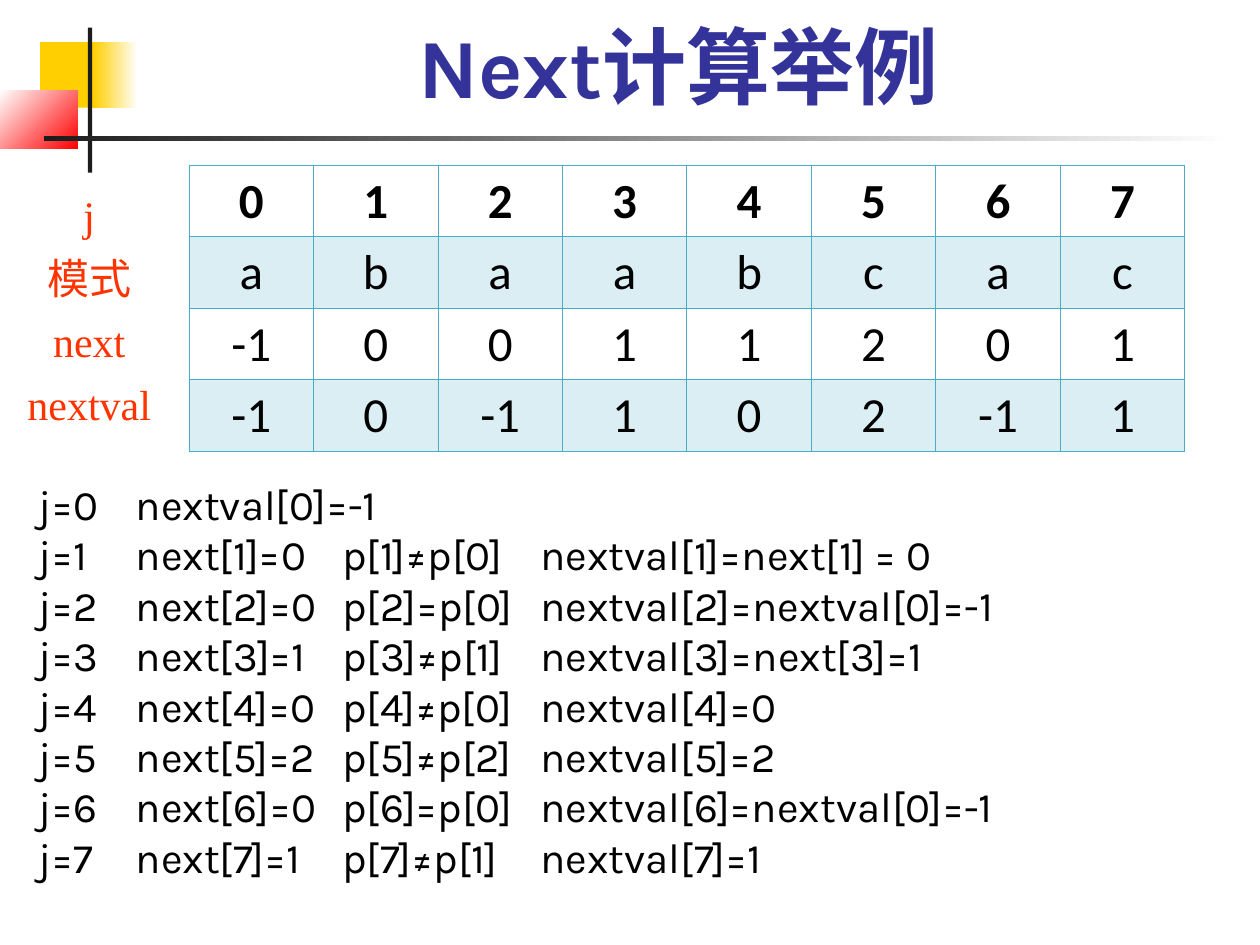
from lxml import etree
from pptx import Presentation
from pptx.dml.color import RGBColor
from pptx.enum.shapes import MSO_SHAPE
from pptx.enum.text import MSO_ANCHOR, MSO_AUTO_SIZE, PP_ALIGN
from pptx.oxml.ns import qn
from pptx.util import Cm, Pt

RECTANGLE = MSO_SHAPE.RECTANGLE
MIDDLE, BOTTOM = MSO_ANCHOR.MIDDLE, MSO_ANCHOR.BOTTOM
LEFT, CENTER = PP_ALIGN.LEFT, PP_ALIGN.CENTER
NO_AUTOFIT = MSO_AUTO_SIZE.NONE

YELLOW, RED, WHITE, INK, TEAL = "FFCF01", "FF0000", "FFFFFF", "1C1C1C", "4BACC6"
DECORATION = [
    (0.81, 0.85, 1.22, 1.32, [YELLOW], 0),
    (1.88, 0.85, 0.9, 1.32, [YELLOW, WHITE], 0),
    (0, 1.83, 1.57, 1.17, [WHITE, RED], 315),
    (1.77, 0.56, 0.09, 2.92, [INK], 0),
    (0.89, 2.75, 24, 0.09, [INK, WHITE], 0),
]
ROW_LABELS = ["j", "模式", "next", "nextval"]
PATTERN_ROWS = [
    ["0", "1", "2", "3", "4", "5", "6", "7"],
    ["a", "b", "a", "a", "b", "c", "a", "c"],
    ["-1", "0", "0", "1", "1", "2", "0", "1"],
    ["-1", "0", "-1", "1", "0", "2", "-1", "1"],
]
COLUMN_WIDTH, ROW_HEIGHT = 2.51, 1.44
STEPS = [
    "j=0\tnextval[0]=-1",
    "j=1\tnext[1]=0\tp[1]≠p[0]\tnextval[1]=next[1] = 0",
    "j=2\tnext[2]=0\tp[2]=p[0]\tnextval[2]=nextval[0]=-1",
    "j=3\tnext[3]=1\tp[3]≠p[1]\tnextval[3]=next[3]=1",
    "j=4\tnext[4]=0\tp[4]≠p[0]\tnextval[4]=0",
    "j=5\tnext[5]=2\tp[5]≠p[2]\tnextval[5]=2",
    "j=6\tnext[6]=0\tp[6]=p[0]\tnextval[6]=nextval[0]=-1",
    "j=7\tnext[7]=1\tp[7]≠p[1]\tnextval[7]=1",
]
STEP_INSET = 0.48
STEP_STOPS = [1.96, 6.12, 10.12]


def rgb(hex_color):
    """Return the colour for a hex string."""
    return RGBColor.from_string(hex_color)


def write_text(frame, lines, font, size, color, bold=False, align=LEFT, before=0, spacing=1.0):
    """Fill a text frame with one formatted paragraph per line."""
    for index, line in enumerate(lines):
        paragraph = frame.add_paragraph() if index else frame.paragraphs[0]
        paragraph.alignment = align
        paragraph.space_before = Pt(before)
        paragraph.line_spacing = spacing
        run = paragraph.add_run()
        run.text = line
        run.font.name, run.font.size, run.font.bold = font, Pt(size), bold
        run.font.color.rgb = rgb(color)


def add_bar(slide, left, top, width, height, colors, angle):
    """Add a borderless rectangle with a plain or two-colour fill."""
    bar = slide.shapes.add_shape(RECTANGLE, Cm(left), Cm(top), Cm(width), Cm(height))
    bar.shadow.inherit = False
    bar.line.fill.background()
    if len(colors) == 1:
        bar.fill.solid()
        bar.fill.fore_color.rgb = rgb(colors[0])
        return
    bar.fill.gradient()
    bar.fill.gradient_angle = angle
    for stop, position, color in zip(bar.fill.gradient_stops, (0, 1), colors):
        stop.position = position
        stop.color.rgb = rgb(color)


def set_title(slide, title):
    """Write the heading into the title placeholder."""
    heading = slide.shapes.title
    heading.left, heading.top = Cm(2.74), Cm(0.55)
    heading.width, heading.height = Cm(21.87), Cm(1.9)
    frame = heading.text_frame
    frame.auto_size = NO_AUTOFIT
    frame.vertical_anchor = BOTTOM
    write_text(frame, [title], font="Karla", size=48, color="333399", bold=True, align=CENTER)


def add_row_labels(slide):
    """Add the labels to the left of the table."""
    labels = slide.shapes.add_textbox(Cm(0.3), Cm(3.44), Cm(3), Cm(5.33))
    labels.text_frame.word_wrap = False
    write_text(labels.text_frame, ROW_LABELS, font="Times New Roman", size=24,
               color="FF3300", align=CENTER, spacing=1.25)


def set_borders(cell, top, bottom):
    """Draw the four cell borders, with the given top and bottom widths."""
    properties = cell._tc.get_or_add_tcPr()
    for side, width in (("L", 0.45), ("R", 0.45), ("T", top), ("B", bottom)):
        edge = etree.SubElement(properties, qn(f"a:ln{side}"), w=str(Pt(width)))
        paint = etree.SubElement(edge, qn("a:solidFill"))
        etree.SubElement(paint, qn("a:srgbClr"), val=TEAL)


def shade(cell):
    """Give a cell the translucent band colour."""
    cell.fill.solid()
    cell.fill.fore_color.rgb = rgb(TEAL)
    tint = next(cell._tc.tcPr.find(qn("a:solidFill")).iter(qn("a:srgbClr")))
    etree.SubElement(tint, qn("a:alpha"), val="20000")


def add_pattern_table(slide):
    """Add the table of positions, pattern, next and nextval."""
    rows, columns = len(PATTERN_ROWS), len(PATTERN_ROWS[0])
    table = slide.shapes.add_table(rows, columns, Cm(3.81), Cm(3.33), Cm(columns * COLUMN_WIDTH),
                                   Cm(rows * ROW_HEIGHT)).table
    table.first_row = table.horz_banding = False
    for row, values in enumerate(PATTERN_ROWS):
        for column, value in enumerate(values):
            cell = table.cell(row, column)
            cell.vertical_anchor = MIDDLE
            write_text(cell.text_frame, [value], font="Calibri", size=28, color="000000",
                       bold=row == 0, align=CENTER, before=7)
            set_borders(cell, top=0.96 if row == 1 else 0.45, bottom=0.96 if row == 0 else 0.45)
            if row % 2:
                shade(cell)
            else:
                cell.fill.background()


def add_steps(slide):
    """Add the calculation steps, lined up in tab columns."""
    frame = slide.shapes.add_textbox(Cm(0.3), Cm(9.52), Cm(25.02), Cm(8.38)).text_frame
    frame.word_wrap = True
    frame.margin_left = Cm(STEP_INSET)
    write_text(frame, STEPS, font="Karla", size=24, color="000000")
    for paragraph in frame.paragraphs:
        stops = etree.SubElement(paragraph._p.get_or_add_pPr(), qn("a:tabLst"))
        for stop in STEP_STOPS:
            etree.SubElement(stops, qn("a:tab"), pos=str(Cm(stop)), algn="l")


def main():
    """Build the slide and save it."""
    deck = Presentation()
    deck.slide_width, deck.slide_height = Cm(25.4), Cm(19.05)
    slide = deck.slides.add_slide(deck.slide_layouts[5])
    for bar in DECORATION:
        add_bar(slide, *bar)
    set_title(slide, "Next计算举例")
    add_row_labels(slide)
    add_pattern_table(slide)
    add_steps(slide)
    deck.save("out.pptx")


if __name__ == "__main__":
    main()
